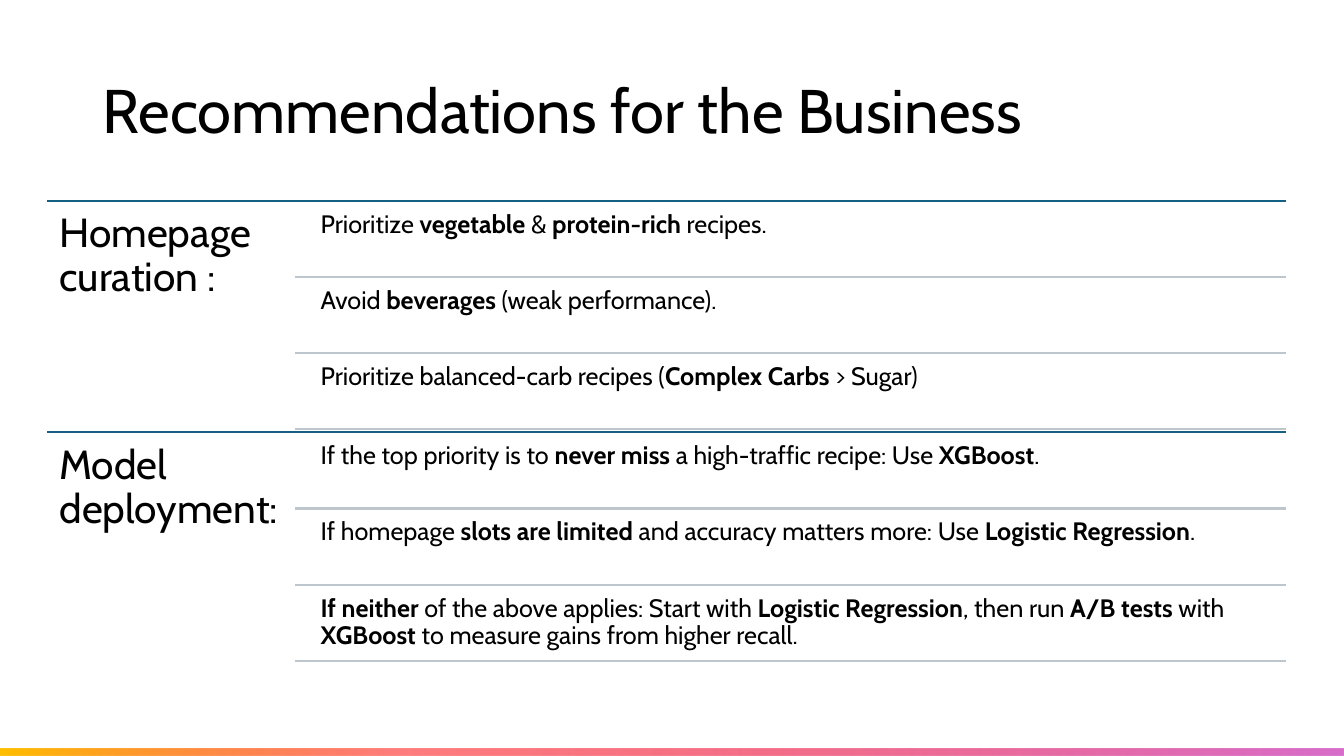
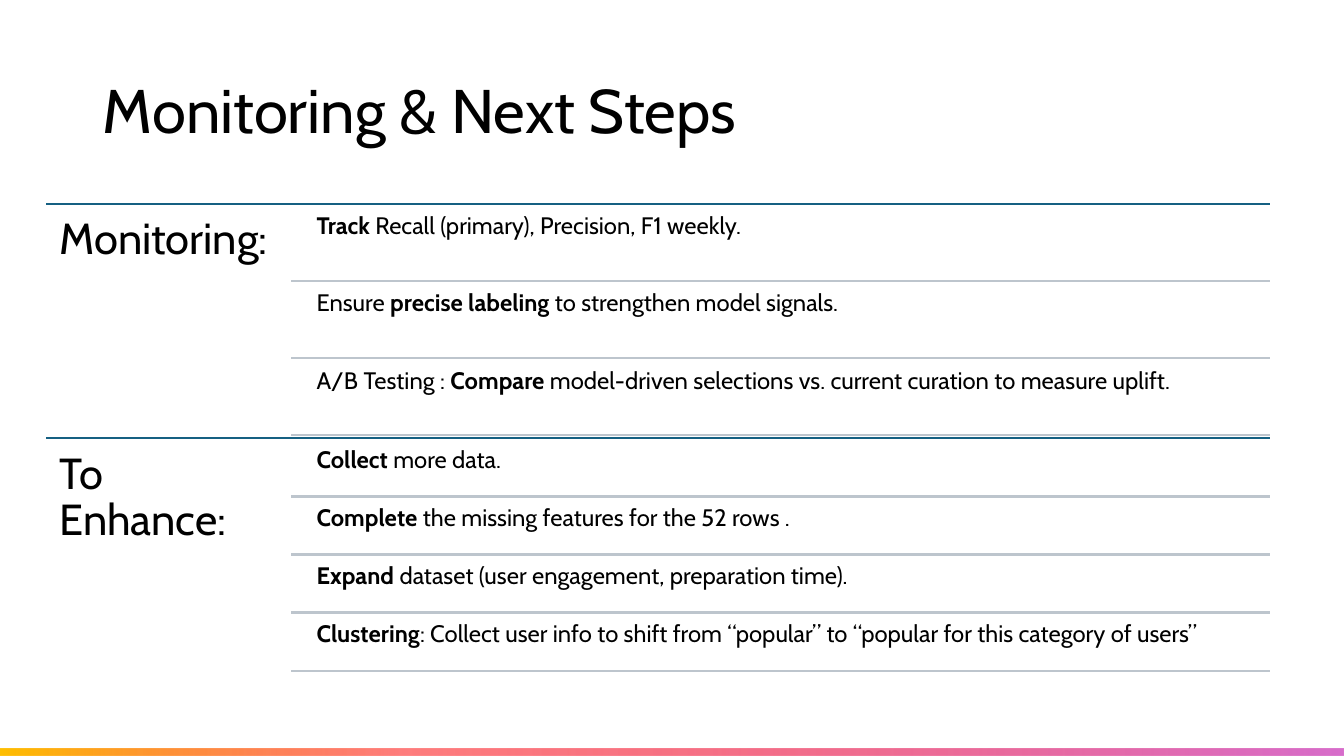
from dataclasses import dataclass

from pptx import Presentation
from pptx.dml.color import RGBColor
from pptx.enum.shapes import MSO_CONNECTOR, MSO_SHAPE
from pptx.enum.text import MSO_ANCHOR, MSO_AUTO_SIZE, PP_ALIGN
from pptx.oxml import parse_xml
from pptx.oxml.ns import nsdecls, qn
from pptx.util import Inches, Pt

STRAIGHT = MSO_CONNECTOR.STRAIGHT
RECTANGLE = MSO_SHAPE.RECTANGLE
TOP, MIDDLE = MSO_ANCHOR.TOP, MSO_ANCHOR.MIDDLE
LEFT = PP_ALIGN.LEFT
NO_AUTOFIT = MSO_AUTO_SIZE.NONE
TITLE_ONLY = 5


@dataclass(frozen=True)
class Theme:
    """Colours, type and proportions shared by all slides."""
    font: str = "Cabin"
    text: str = "000000"
    section_rule: str = "156082"
    item_rule: str = "BDC5CD"
    band_stops: tuple = ((0, "FFC000", 100), (30, "FF1C1C", 57), (100, "D86ECC", 100))
    title_size: int = 44
    rule_width: float = 1.5
    line_spacing: float = 0.9
    label_share: float = 0.2
    indent_share: float = 0.015
    gap_share: float = 0.05
    item_inset: float = 0.07


@dataclass(frozen=True)
class Outline:
    """Place and type sizes of the ruled outline on one slide."""
    left: float
    top: float
    width: float
    section_height: float
    label_size: int
    label_inset: float
    item_size: int


THEME = Theme()

RECOMMENDATIONS = (
    ("Homepage curation :", (
        "Prioritize *vegetable* & *protein-rich *recipes.",
        "Avoid *beverages* (weak performance).",
        "Prioritize balanced-carb recipes (*Complex Carbs *> Sugar)",
    )),
    ("Model deployment:", (
        "If the top priority is to *never miss *a high-traffic recipe: Use *XGBoost*.",
        "If homepage *slots are limited *and accuracy matters more: "
        "Use *Logistic Regression*.",
        "*If neither *of the above applies: Start with *Logistic Regression*, "
        "then run *A/B tests* with *XGBoost* to measure gains from higher recall.",
    )),
)

NEXT_STEPS = (
    ("Monitoring:", (
        "*Track* Recall (primary), Precision, F1 weekly.",
        "Ensure *precise labeling *to strengthen model signals.",
        "A/B Testing : *Compare* model-driven selections vs. current curation "
        "to measure uplift.",
    )),
    ("To Enhance:", (
        "*Collect* more data.",
        "*Complete* the missing features for the 52 rows .",
        "*Expand* dataset (user engagement, preparation time).",
        "*Clustering*: Collect user info to shift from “popular” to "
        "“popular for this category of users”",
    )),
)


def write_text(box, text, *, size, inset=0.1, anchor=TOP):
    """Fill a shape with one paragraph; text between asterisks is bold."""
    frame = box.text_frame
    frame.word_wrap = True
    frame.auto_size = NO_AUTOFIT
    frame.vertical_anchor = anchor
    frame.margin_left = frame.margin_right = Inches(inset)
    frame.margin_top = frame.margin_bottom = Inches(inset)
    para = frame.paragraphs[0]
    para.alignment = LEFT
    para.line_spacing = THEME.line_spacing
    for index, part in enumerate(text.split("*")):
        if part:
            span = para.add_run()
            span.text = part
            span.font.name = THEME.font
            span.font.size = Pt(size)
            span.font.bold = index % 2 == 1
            span.font.color.rgb = RGBColor.from_string(THEME.text)


def add_text(page, left, top, width, height, text, **text_format):
    """Add a text box in the given place."""
    box = page.shapes.add_textbox(Inches(left), Inches(top), Inches(width), Inches(height))
    write_text(box, text, **text_format)


def add_rule(page, left, right, y, colour):
    """Draw a horizontal rule."""
    rule = page.shapes.add_connector(STRAIGHT, Inches(left), Inches(y), Inches(right), Inches(y))
    rule.line.color.rgb = RGBColor.from_string(colour)
    rule.line.width = Pt(THEME.rule_width)
    rule.element.spPr.append(parse_xml(f"<a:effectLst {nsdecls('a')}/>"))


def add_master_band(deck, page):
    """Draw the gradient band and move it to the slide master."""
    band = page.shapes.add_shape(RECTANGLE, 0, Inches(7.43), deck.slide_width, Inches(0.07))
    band.shadow.inherit = False
    band.line.fill.background()
    stops = "".join(
        f'<a:gs pos="{place * 1000}"><a:srgbClr val="{colour}">'
        f'<a:alpha val="{opacity * 1000}"/></a:srgbClr></a:gs>'
        for place, colour, opacity in THEME.band_stops
    )
    gradient = parse_xml(
        f'<a:gradFill {nsdecls("a")} rotWithShape="1"><a:gsLst>{stops}</a:gsLst>'
        '<a:lin ang="0" scaled="0"/></a:gradFill>'
    )
    band.element.spPr.find(qn("a:prstGeom")).addnext(gradient)
    deck.slide_master.shapes.element.append(band.element)


def add_section(page, outline, top, label, items):
    """Add a section label beside its evenly spaced, ruled items."""
    right = outline.left + outline.width
    label_width = outline.width * THEME.label_share
    rule_left = outline.left + label_width
    item_left = rule_left + outline.width * THEME.indent_share
    count = len(items)
    item_height = outline.section_height / (count + (count + 1) * THEME.gap_share)
    gap = item_height * THEME.gap_share

    add_rule(page, outline.left, right, top, THEME.section_rule)
    add_text(page, outline.left, top, label_width, outline.section_height, label,
             size=outline.label_size, inset=outline.label_inset)
    for index, item in enumerate(items):
        item_top = top + gap + index * (item_height + gap)
        add_text(page, item_left, item_top, right - item_left, item_height, item,
                 size=outline.item_size, inset=THEME.item_inset)
        add_rule(page, rule_left, right, item_top + item_height, THEME.item_rule)


def add_outline_page(deck, title, outline, sections):
    """Add a slide with a title and a ruled outline."""
    page = deck.slides.add_slide(deck.slide_layouts[TITLE_ONLY])
    heading = page.shapes.title
    heading.left, heading.top = Inches(0.92), Inches(0.4)
    heading.width, heading.height = Inches(11.5), Inches(1.45)
    write_text(heading, title, size=THEME.title_size, anchor=MIDDLE)
    for index, (label, items) in enumerate(sections):
        top = outline.top + index * outline.section_height
        add_section(page, outline, top, label, items)
    return page


def main():
    """Build and save the deck."""
    deck = Presentation()
    deck.slide_width, deck.slide_height = Inches(13.33), Inches(7.5)
    page = add_outline_page(
        deck, "Recommendations for the Business",
        Outline(left=0.47, top=1.99, width=12.28, section_height=2.3,
                label_size=29, label_inset=0.12, item_size=18),
        RECOMMENDATIONS)
    add_master_band(deck, page)
    add_outline_page(
        deck, "Monitoring & Next Steps",
        Outline(left=0.46, top=2.02, width=12.14, section_height=2.33,
                label_size=31, label_inset=0.13, item_size=17),
        NEXT_STEPS)
    deck.save("out.pptx")


if __name__ == "__main__":
    main()
